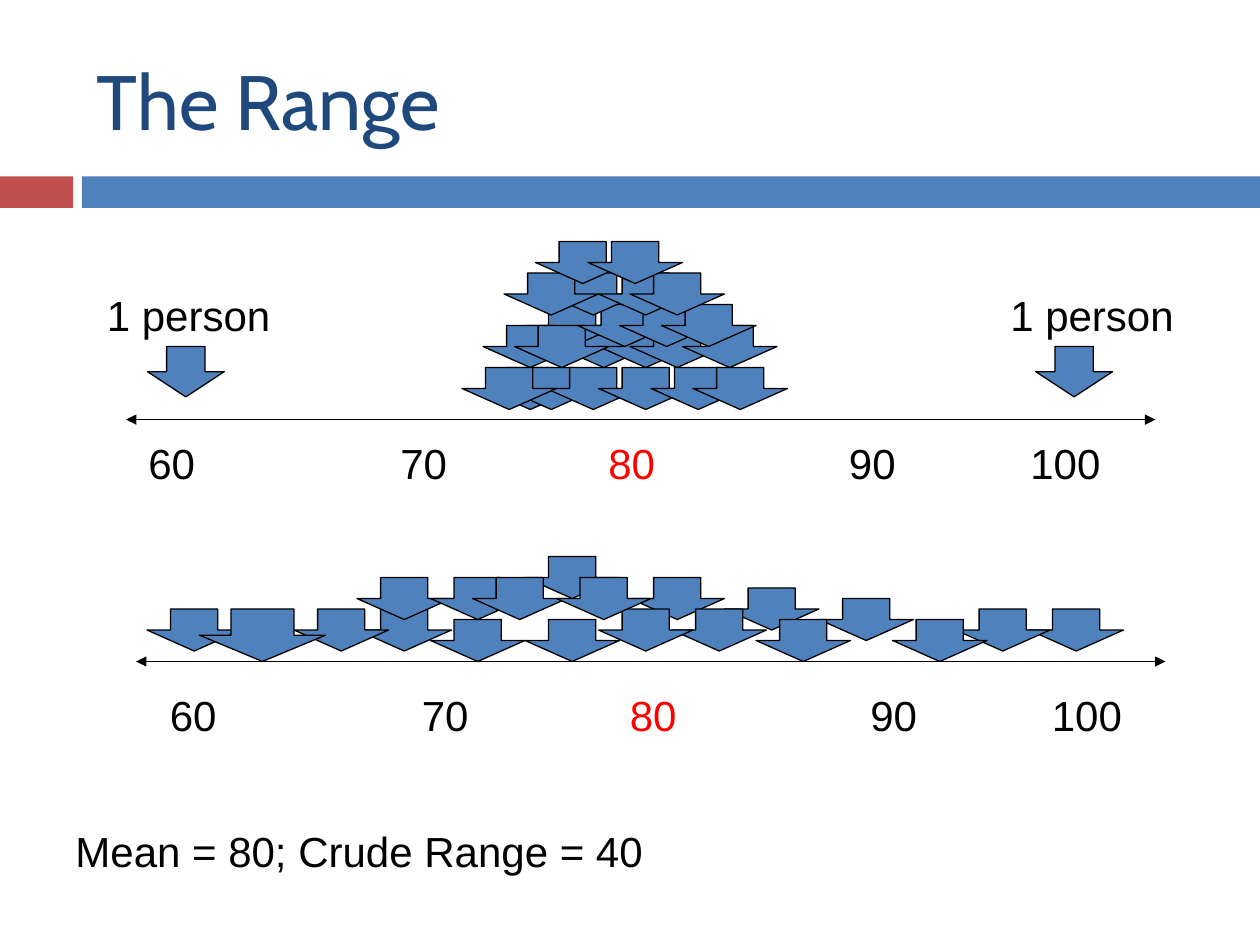
from lxml.etree import SubElement
from pptx import Presentation
from pptx.dml.color import RGBColor
from pptx.enum.shapes import MSO_CONNECTOR as Connector, MSO_SHAPE as Shape
from pptx.enum.text import MSO_ANCHOR as Anchor
from pptx.oxml.ns import qn
from pptx.util import Inches, Pt

BLUE, RED, BLACK = "4F81BD", "C0504D", "000000"
CELL = 1 / 12  # grid step in inches

presentation = Presentation()
presentation.slide_width, presentation.slide_height = Inches(10), Inches(7.5)
slide = presentation.slides.add_slide(presentation.slide_layouts[6])


def add_block(kind, left, top, width, height, fill, line=None):
    """Add a filled preset shape, outlined when a line colour is given."""
    shape = slide.shapes.add_shape(
        kind, Inches(left), Inches(top), Inches(width), Inches(height))
    shape.shadow.inherit = False
    shape.fill.solid()
    shape.fill.fore_color.rgb = RGBColor.from_string(fill)
    if line:
        shape.line.color.rgb = RGBColor.from_string(line)
        shape.line.width = Pt(0.75)
    else:
        shape.line.fill.background()


def add_text(left, top, width, height, runs, size=24, font="Arial"):
    """Add a one-paragraph text box from (text, colour) runs; return the paragraph."""
    box = slide.shapes.add_textbox(
        Inches(left), Inches(top), Inches(width), Inches(height))
    frame = box.text_frame
    frame.word_wrap = True
    frame.vertical_anchor = Anchor.MIDDLE
    paragraph = frame.paragraphs[0]
    for text, color in runs:
        run = paragraph.add_run()
        run.text = text
        run.font.size, run.font.name = Pt(size), font
        run.font.color.rgb = RGBColor.from_string(color)
    return paragraph


# Title and banner
add_block(Shape.RECTANGLE, 0, 1.4, 0.58, 0.25, RED)
add_block(Shape.RECTANGLE, 0.65, 1.4, 9.35, 0.25, BLUE)
add_text(0.67, 0.25, 8.92, 1.08, [("The Range", "1F497D")], 44, "Cabin")

# Number lines with their scales: axis left, axis top, scale left, scale top
for axis_left, axis_top, scale_left, scale_top in [
        (1, 3.33, 1.08, 3.42), (1.08, 5.25, 1.25, 5.42)]:
    axis = slide.shapes.add_connector(
        Connector.STRAIGHT, Inches(axis_left), Inches(axis_top),
        Inches(axis_left + 8.17), Inches(axis_top))
    axis.line.color.rgb = RGBColor.from_string(BLACK)
    axis.line.width = Pt(0.75)
    for end in ("a:headEnd", "a:tailEnd"):
        SubElement(axis.line._get_or_add_ln(), qn(end), type="triangle")
    SubElement(axis._element.spPr, qn("a:effectLst"))

    scale = add_text(scale_left, scale_top, 7.83, 0.5,
                     [("60\t70", BLACK), ("\t80", "FF0000"), ("\t90\t100", BLACK)])
    tab_list = SubElement(scale._p.get_or_add_pPr(), qn("a:tabLst"))
    for stop in (2, 3.65, 5.56, 7):
        SubElement(tab_list, qn("a:tab"), pos=str(Inches(stop)), algn="l")

# Single people at the two ends
for label_left, arrow_left in [(7.92, 8.22), (0.75, 1.17)]:
    add_text(label_left, 2.25, 1.67, 0.5, [("1 person", BLACK)])
    add_block(Shape.DOWN_ARROW, arrow_left, 2.75, 0.61, 0.4, BLUE, BLACK)

# Arrow piles from back to front: grid row, grid columns, width and height in cells
narrow_pile = [
    (35, [46, 48]), (31, [53]), (35, [52]), (31, [57, 60, 65]),
    (35, [57, 62, 66]), (29, [50]), (31, [46, 49]), (29, [55, 59, 63]),
    (26, [52, 57, 60]), (35, [44]), (26, [48]), (23, [51, 56]),
]
wide_pile = [
    (58, [14]), (55, [60]), (56, [69]), (58, [98, 91]), (59, [85]),
    (57, [78]), (59, [72]), (58, [64, 57]), (59, [50, 41]), (58, [34, 28]),
    (58, [19], 12, 5), (53, [50]), (55, [34, 41, 45, 53]),
]
for row, columns, *size in narrow_pile + wide_pile:
    width, height = size or (9, 4)
    for column in columns:
        add_block(Shape.DOWN_ARROW, column * CELL, row * CELL,
                  width * CELL, height * CELL, BLUE, BLACK)

add_text(0.5, 6.5, 4.75, 0.5, [("Mean = 80; Crude Range = 40", BLACK)]
         ).runs[0]._r.getparent().getparent().bodyPr.set("wrap", "none")

presentation.save("out.pptx")
